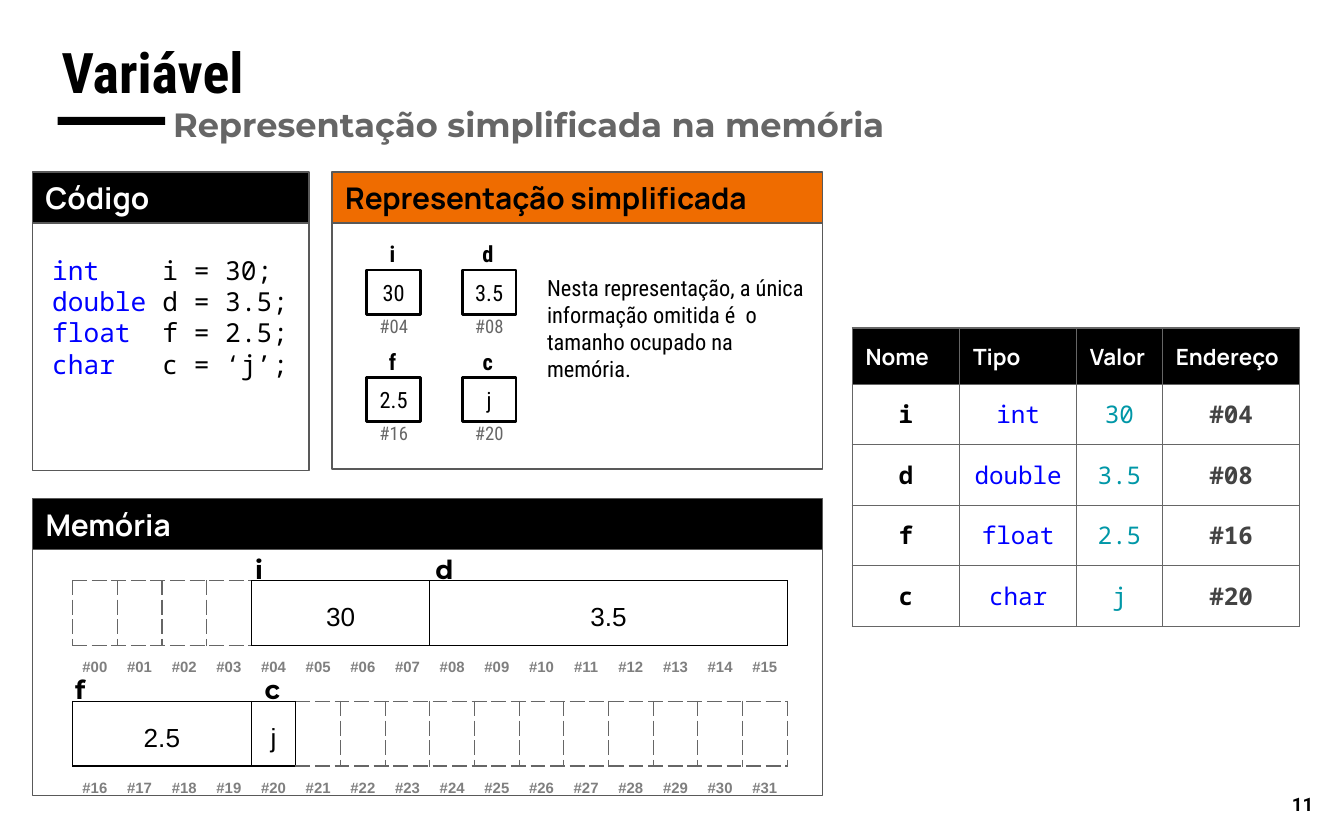
import pptx
import pptx.dml.color
import pptx.enum.shapes
import pptx.enum.text
import pptx.oxml
import pptx.oxml.ns
import pptx.util
from pptx.util import Inches

COLORS = {
    "black": "000000", "white": "FFFFFF", "orange": "EF6C00",
    "outline": "595959", "grid": "666666", "label": "7F7F7F",
    "keyword": "0000FF", "value": "0097A7", "address": "434343",
}
FORMATS = {
    "title": {"name": "Roboto Condensed", "size": 30, "bold": True},
    "subtitle": {"name": "Montserrat", "size": 18, "bold": True},
    "heading": {"name": "Manrope", "size": 16, "bold": True},
    "page": {"name": "Roboto", "size": 10, "bold": True},
    "code": {"name": "Noto Sans Mono", "size": 14, "bold": False},
    "marker": {"name": "Montserrat", "size": 14, "bold": True},
    "body": {"name": "Roboto Condensed", "size": 12, "bold": False},
    "variable": {"name": "Roboto Condensed", "size": 12, "bold": True},
    "small": {"name": "Roboto Condensed", "size": 10, "bold": False},
    "memory": {"name": "Arial", "size": 14, "bold": False},
    "slot": {"name": "Arial", "size": 8, "bold": True},
    "column": {"name": "Manrope", "size": 12, "bold": True},
    "entry": {"name": "Noto Sans Mono", "size": 13, "bold": False},
    "strong": {"name": "Noto Sans Mono", "size": 13, "bold": True},
}
ALIGN = pptx.enum.text.PP_ALIGN
ANCHOR = pptx.enum.text.MSO_ANCHOR
NO_STYLE = "{2D5ABB26-0587-4C30-8999-92F81FD0307C}"
SLOTS = 16

# name, type, value, address
VARIABLES = [
    ("i", "int", "30", "#04"),
    ("d", "double", "3.5", "#08"),
    ("f", "float", "2.5", "#16"),
    ("c", "char", "j", "#20"),
]


def rgb(color):
    return pptx.dml.color.RGBColor.from_string(COLORS[color])


def add_run(paragraph, text, style, color="black"):
    run = paragraph.add_run()
    run.text = text
    for attribute, value in FORMATS[style].items():
        setattr(run.font, attribute, pptx.util.Pt(value) if attribute == "size" else value)
    run.font.color.rgb = rgb(color)


def set_frame(frame, inset=0.1, anchor=ANCHOR.TOP):
    frame.word_wrap = True
    frame.vertical_anchor = anchor
    for side in ("left", "top", "right", "bottom"):
        setattr(frame, "margin_" + side, Inches(inset))


def add_text(slide, box, text, style, color="black", align=ALIGN.LEFT, **frame_format):
    frame = slide.shapes.add_textbox(*map(Inches, box)).text_frame
    set_frame(frame, **frame_format)
    paragraph = frame.paragraphs[0]
    paragraph.alignment = align
    add_run(paragraph, text, style, color)
    return paragraph


def add_box(slide, box, fill, line=None, width=0.75):
    rectangle = pptx.enum.shapes.MSO_SHAPE.RECTANGLE
    shape = slide.shapes.add_shape(rectangle, *map(Inches, box))
    shape.shadow.inherit = False
    shape.fill.solid()
    shape.fill.fore_color.rgb = rgb(fill)
    if line:
        shape.line.color.rgb = rgb(line)
        shape.line.width = pptx.util.Pt(width)
    else:
        shape.line.fill.background()
    return shape


def add_box_text(shape, text, style, color="black", align=ALIGN.LEFT, inset=0.1):
    set_frame(shape.text_frame, inset, ANCHOR.MIDDLE)
    paragraph = shape.text_frame.paragraphs[0]
    paragraph.alignment = align
    add_run(paragraph, text, style, color)


def add_panel(slide, box, heading, fill="black", color="white"):
    left, top, width, height = box
    add_box(slide, (left, top + 0.38, width, height - 0.38), "white", "outline")
    header = add_box(slide, (left, top, width, 0.38), fill, "outline")
    add_box_text(header, heading, "heading", color)


def add_table(slide, left, top, columns, rows):
    box = map(Inches, (left, top, sum(columns), sum(rows)))
    table = slide.shapes.add_table(len(rows), len(columns), *box).table
    table.first_row = table.horz_banding = False
    table._tbl.tblPr.find(pptx.oxml.ns.qn("a:tableStyleId")).text = NO_STYLE
    for column, width in zip(table.columns, columns):
        column.width = Inches(width)
    for row, height in zip(table.rows, rows):
        row.height = Inches(height)
    return table


def fill_cell(cell, text, style, color="black", align=ALIGN.CENTER, anchor=ANCHOR.TOP, side=0.1):
    cell.vertical_anchor = anchor
    cell.margin_left = cell.margin_right = Inches(side)
    cell.margin_top = cell.margin_bottom = Inches(0.1)
    paragraph = cell.text_frame.paragraphs[0]
    paragraph.alignment = align
    add_run(paragraph, text, style, color)


def set_borders(cell, sides):
    """Sides maps L, R, T, B, in this order, to a (colour, dash) pair."""
    properties = cell._tc.get_or_add_tcPr()
    for index, (side, (color, dash)) in enumerate(sides.items()):
        properties.insert(index, pptx.oxml.parse_xml(
            f'<a:ln{side} {pptx.oxml.ns.nsdecls("a")} w="9525"><a:solidFill>'
            f'<a:srgbClr val="{COLORS[color]}"/></a:solidFill>'
            f'<a:prstDash val="{dash}"/></a:ln{side}>'))


def add_memory_row(slide, top, first_address, blocks):
    """Blocks are (first slot, slot count, value)."""
    solid, dashed = ("black", "solid"), ("grid", "dash")
    table = add_table(slide, 0.54, top, [5.32 / SLOTS] * SLOTS, [0.48, 0.32])
    used = {start + offset for start, count, _ in blocks for offset in range(count)}
    inner = {start + offset for start, count, _ in blocks for offset in range(1, count)}
    for slot in range(SLOTS):
        style = solid if slot in used else dashed
        sides = {
            "L": solid if {slot, slot - 1} & used else dashed,
            "R": solid if {slot, slot + 1} & used else dashed,
            "T": style, "B": style,
        }
        if slot in inner:
            del sides["L"]
            if slot + 1 in inner:
                del sides["R"]
        set_borders(table.cell(0, slot), sides)
        address = table.cell(1, slot)
        fill_cell(address, f"#{first_address + slot:02d}", "slot", "label", side=0.03)
        set_borders(address, {"T": style})
    for start, count, value in blocks:
        cell = table.cell(0, start)
        if count > 1:
            cell.merge(table.cell(0, start + count - 1))
        fill_cell(cell, value, "memory", anchor=ANCHOR.BOTTOM, side=0.03)


def add_code(slide):
    frame = slide.shapes.add_textbox(*map(Inches, (0.29, 1.79, 2.01, 1.19))).text_frame
    set_frame(frame)
    for index, (name, kind, value, _) in enumerate(VARIABLES):
        paragraph = frame.add_paragraph() if index else frame.paragraphs[0]
        paragraph._p.get_or_add_pPr().append(pptx.oxml.parse_xml(
            f'<a:tabLst {pptx.oxml.ns.nsdecls("a")}>'
            f'<a:tab pos="{Inches(0.82)}" algn="l"/></a:tabLst>'))
        literal = f"‘{value}’" if kind == "char" else value
        add_run(paragraph, kind + "\t", "code", "keyword")
        add_run(paragraph, f"{name} = {literal};", "code")


def add_variable_boxes(slide):
    for index, (name, _, value, address) in enumerate(VARIABLES):
        left, top = 2.73 + index % 2 * 0.71, 2.01 + index // 2 * 0.8
        box = add_box(slide, (left, top, 0.4, 0.33), "white", "black", 1.5)
        add_box_text(box, value, "body", align=ALIGN.CENTER, inset=0)
        add_text(slide, (left - 0.02, top - 0.22, 0.42, 0.2), name, "variable",
                 align=ALIGN.CENTER, inset=0)
        add_text(slide, (left, top + 0.33, 0.4, 0.2), address, "small", "grid",
                 align=ALIGN.CENTER, inset=0)


def add_variable_table(slide):
    table = add_table(slide, 6.34, 2.44, [0.8, 0.87, 0.64, 1.02], [0.42] + [0.45] * 4)
    for column, heading in enumerate(("Nome", "Tipo", "Valor", "Endereço")):
        cell = table.cell(0, column)
        fill_cell(cell, heading, "column", "white", ALIGN.LEFT)
        cell.fill.solid()
        cell.fill.fore_color.rgb = rgb("black")
    looks = [("strong", "black"), ("entry", "keyword"), ("entry", "value"), ("strong", "address")]
    for row, variable in enumerate(VARIABLES, 1):
        for column, (text, look) in enumerate(zip(variable, looks)):
            fill_cell(table.cell(row, column), text, *look)
    for cell in table.iter_cells():
        set_borders(cell, dict.fromkeys("LRTB", ("grid", "solid")))


def main():
    presentation = pptx.Presentation()
    presentation.slide_width, presentation.slide_height = Inches(10), Inches(6.25)
    slide = presentation.slides.add_slide(presentation.slide_layouts[6])

    # Title
    add_box(slide, (0.43, 0.87, 0.8, 0.06), "black")
    add_text(slide, (0.36, 0.18, 9.32, 0.7), "Variável", "title")
    subtitle = add_text(slide, (1.19, 0.63, 8.23, 0.49),
                        "Representação simplificada na memória", "subtitle", "grid")
    subtitle.line_spacing = 1.15

    # Code and simplified view
    add_panel(slide, (0.24, 1.28, 2.06, 2.22), "Código")
    add_code(slide)
    add_panel(slide, (2.47, 1.28, 3.65, 2.21), "Representação simplificada", "orange", "black")
    add_variable_boxes(slide)
    add_text(slide, (4.07, 2.04, 1.95, 1.38),
             "Nesta representação, a única informação omitida é  o tamanho ocupado na memória.",
             "body", inset=0)

    # Memory
    add_panel(slide, (0.24, 3.71, 5.88, 2.21), "Memória")
    add_memory_row(slide, 4.32, 0, [(4, 4, "30"), (8, 8, "3.5")])
    add_memory_row(slide, 5.22, 16, [(0, 4, "2.5"), (4, 1, "j")])
    for name, left, top in (("i", 1.8, 4.02), ("d", 3.14, 4.02), ("f", 0.46, 4.91), ("c", 1.87, 4.91)):
        add_text(slide, (left, top, 0.82, 0.38), name, "marker")

    # Variable table and page number
    add_variable_table(slide)
    add_text(slide, (9.27, 5.74, 0.6, 0.48), "11", "page", align=ALIGN.RIGHT, anchor=ANCHOR.MIDDLE)
    presentation.save("out.pptx")


main()
